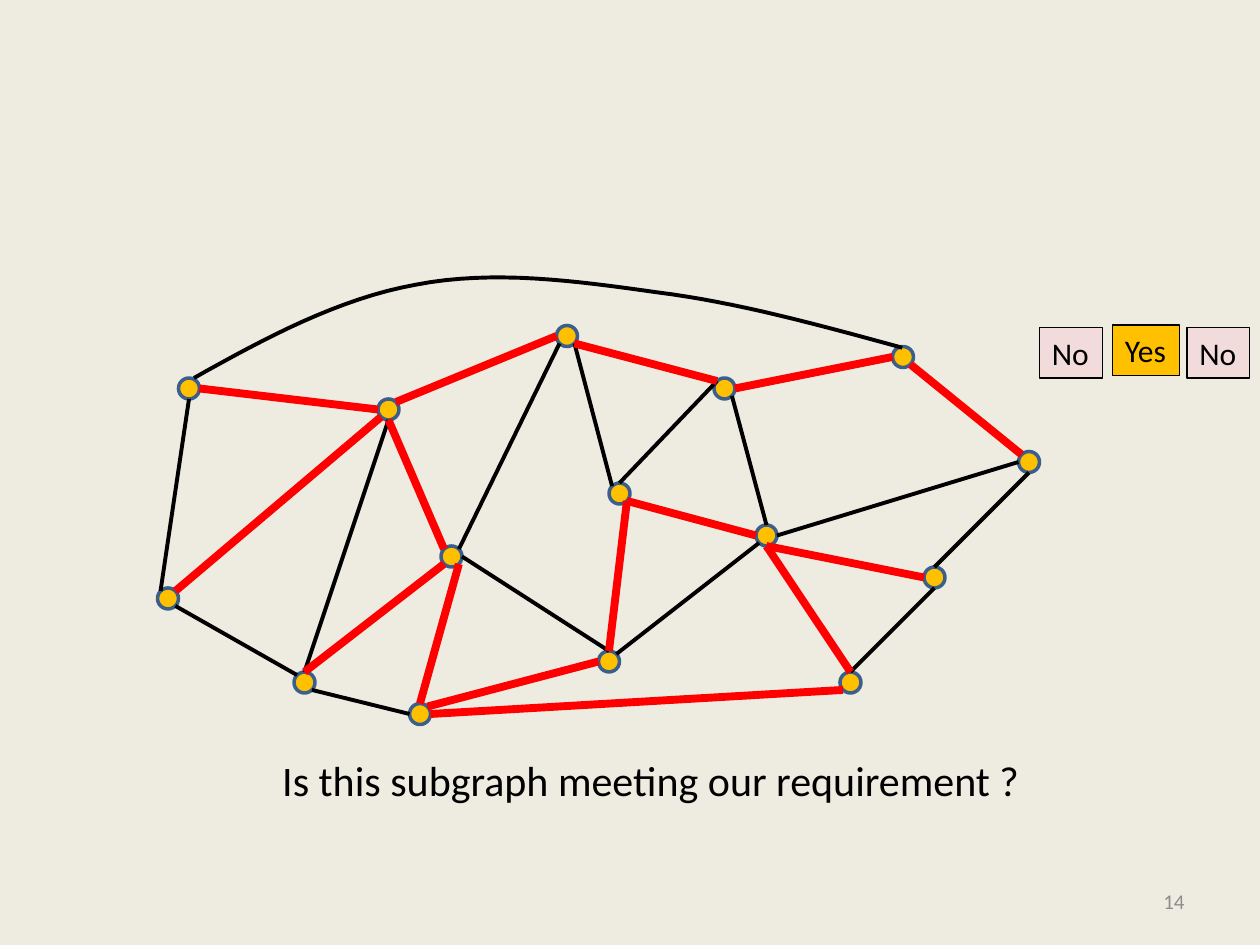
from lxml import etree
from pptx import Presentation
from pptx import util as u
from pptx.dml.color import RGBColor
from pptx.enum import shapes, text
from pptx.oxml.ns import qn

COLORS = {
    "background": "EEECE1", "ink": "000000", "chosen": "FF0000",
    "node": "FFC000", "node_line": "3A5F8C",
    "yes": "FFC000", "no": "F2DCDB", "number": "8C8C8C",
}
FONT = "Calibri"
CELL = u.Inches(1) / 12  # grid step; a node has a radius of one step
DIAGONAL = 0.71

# Node centres as column and row of the grid
NODES = {
    "A": (18, 37), "B": (37, 39), "C": (16, 57), "D": (43, 53), "E": (54, 32),
    "F": (29, 65), "G": (69, 37), "H": (73, 51), "I": (58, 63), "J": (89, 55),
    "K": (81, 65), "L": (40, 68), "M": (59, 47), "N": (86, 34), "O": (98, 44),
}
# Points on a node's rim, by compass direction
RIM = {
    "n": (0, -1), "e": (1, 0), "s": (0, 1), "w": (-1, 0),
    "ne": (DIAGONAL, -DIAGONAL), "se": (DIAGONAL, DIAGONAL),
    "sw": (-DIAGONAL, DIAGONAL), "nw": (-DIAGONAL, -DIAGONAL),
}
# Each end is a node letter followed by a rim direction
PLAIN_EDGES = """As-Cnw Esw-Dne Gnw-Mn De-In Gse-Hn Ow-He Cse-Fnw
                 Bs-Fn Ese-Mnw Hsw-Ine Os-Jn Kn-Js Lw-Fse"""
CHOSEN_EDGES = """Ae-Bw Bs-Dnw Dsw-Fn Ese-Gnw Dse-Ln Bne-Ew Ge-Nw Nse-Onw
                  Jw-Hs Kn-Hs In-Mse Mse-Hw Iw-Lne Bsw-Cne Le-Ksw"""
# Control points of the outer edge in inches; neighbouring pieces share an end
ARC = [(1.54, 3), (2.11, 2.68), (2.69, 2.37), (3.3, 2.26), (3.92, 2.14),
       (4.57, 2.23), (5.21, 2.32), (5.85, 2.4), (6.5, 2.58), (7.16, 2.76)]
ARC_STEPS = 16


def color(name):
    return RGBColor.from_string(COLORS[name])


def set_line(shape, name, width):
    shape.line.color.rgb = color(name)
    shape.line.width = u.Pt(width)


def set_text(box, words, size, name, align):
    frame = box.text_frame
    frame.text = words
    para = frame.paragraphs[0]
    para.alignment = align
    font = para.runs[0].font
    font.name, font.size, font.color.rgb = FONT, u.Pt(size), color(name)


def add_filled(page, kind, box, fill, line, width):
    shape = page.shapes.add_shape(kind, *(int(length) for length in box))
    shape.shadow.inherit = False
    shape.fill.solid()
    shape.fill.fore_color.rgb = color(fill)
    set_line(shape, line, width)
    return shape


def add_node(page, column, row):
    box = ((column - 1) * CELL, (row - 1) * CELL, 2 * CELL, 2 * CELL)
    add_filled(page, shapes.MSO_SHAPE.OVAL, box, "node", "node_line", 2)


def rim_point(end):
    column, row = NODES[end[0]]
    across, down = RIM[end[1:]]
    return int((column + across) * CELL), int((row + down) * CELL)


def add_edges(page, edges, name, width):
    for edge in edges.split():
        start, end = edge.split("-")
        line = page.shapes.add_connector(
            shapes.MSO_CONNECTOR.STRAIGHT, *rim_point(start), *rim_point(end))
        set_line(line, name, width)
        etree.SubElement(line._element.spPr, qn("a:effectLst"))


def bezier_point(controls, t):
    """Return the point at share t of a cubic curve, in whole length units."""
    weights = ((1 - t) ** 3, 3 * t * (1 - t) ** 2, 3 * t ** 2 * (1 - t), t ** 3)
    return tuple(
        u.Inches(sum(weight * point[axis] for weight, point in zip(weights, controls)))
        for axis in (0, 1))


def add_arc(page):
    start, *points = [bezier_point(ARC[:4], 0)] + [
        bezier_point(ARC[first:first + 4], step / ARC_STEPS)
        for first in range(0, len(ARC) - 1, 3)
        for step in range(1, ARC_STEPS + 1)]
    builder = page.shapes.build_freeform(*start)
    builder.add_line_segments(points, close=False)
    arc = builder.convert_to_shape()
    arc.shadow.inherit = False
    arc.fill.background()
    set_line(arc, "ink", 2.25)


def add_answer(page, words, left, top, width, fill):
    box = [u.Inches(length) for length in (left, top, width, 0.4)]
    label = add_filled(page, shapes.MSO_SHAPE.RECTANGLE, box, fill, "ink", 0.75)
    label.text_frame.word_wrap = False
    set_text(label, words, 18, "ink", text.PP_ALIGN.LEFT)


def set_question(page, words):
    body = page.placeholders[1]
    body.left, body.top = u.Inches(0.5), u.Inches(5.93)
    body.width, body.height = u.Inches(9.33), u.Inches(0.52)
    body.text_frame.vertical_anchor = text.MSO_ANCHOR.MIDDLE
    set_text(body, words, 24, "ink", text.PP_ALIGN.CENTER)
    para = body.text_frame.paragraphs[0]
    para.space_before = u.Pt(0)
    properties = para._p.get_or_add_pPr()
    properties.set("marL", "0")
    properties.set("indent", "0")
    etree.SubElement(properties, qn("a:buNone"))


def add_page_number(page, number):
    box = page.shapes.add_textbox(
        u.Inches(7.17), u.Inches(6.95), u.Inches(2.33), u.Inches(0.4))
    box.text_frame.word_wrap = True
    box.text_frame.vertical_anchor = text.MSO_ANCHOR.MIDDLE
    set_text(box, number, 12, "number", text.PP_ALIGN.RIGHT)


def main():
    deck = Presentation()
    deck.slide_width, deck.slide_height = u.Inches(10), u.Inches(7.5)
    page = deck.slides.add_slide(deck.slide_layouts[1])
    page.background.fill.solid()
    page.background.fill.fore_color.rgb = color("background")
    title = page.shapes.title._element
    title.getparent().remove(title)

    set_question(page, "Is this subgraph meeting our requirement ?")
    add_page_number(page, "14")
    for column, row in NODES.values():
        add_node(page, column, row)
    add_edges(page, PLAIN_EDGES, "ink", 2.25)
    add_edges(page, CHOSEN_EDGES, "chosen", 4.5)
    add_arc(page)
    add_answer(page, "Yes", 8.83, 2.58, 0.53, "yes")
    for left in (8.25, 9.42):
        add_answer(page, "No", left, 2.6, 0.5, "no")
    deck.save("out.pptx")


if __name__ == "__main__":
    main()
